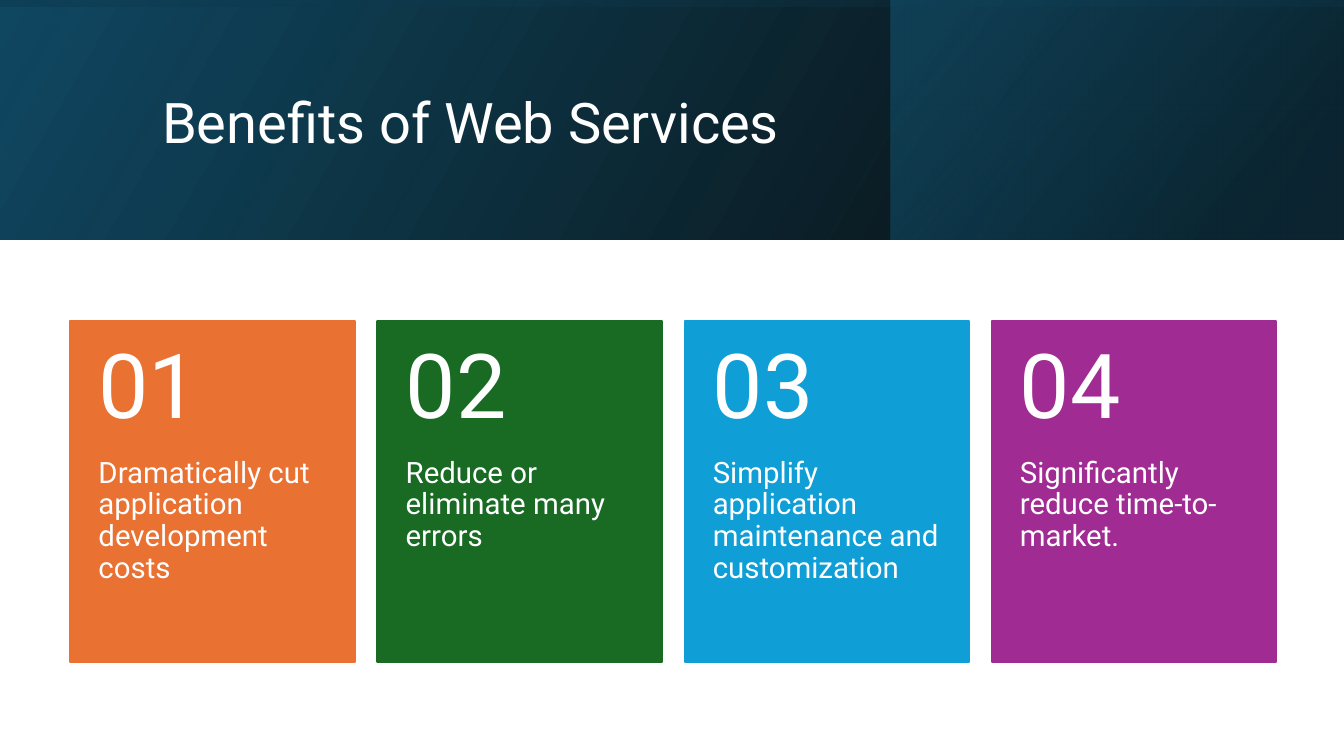
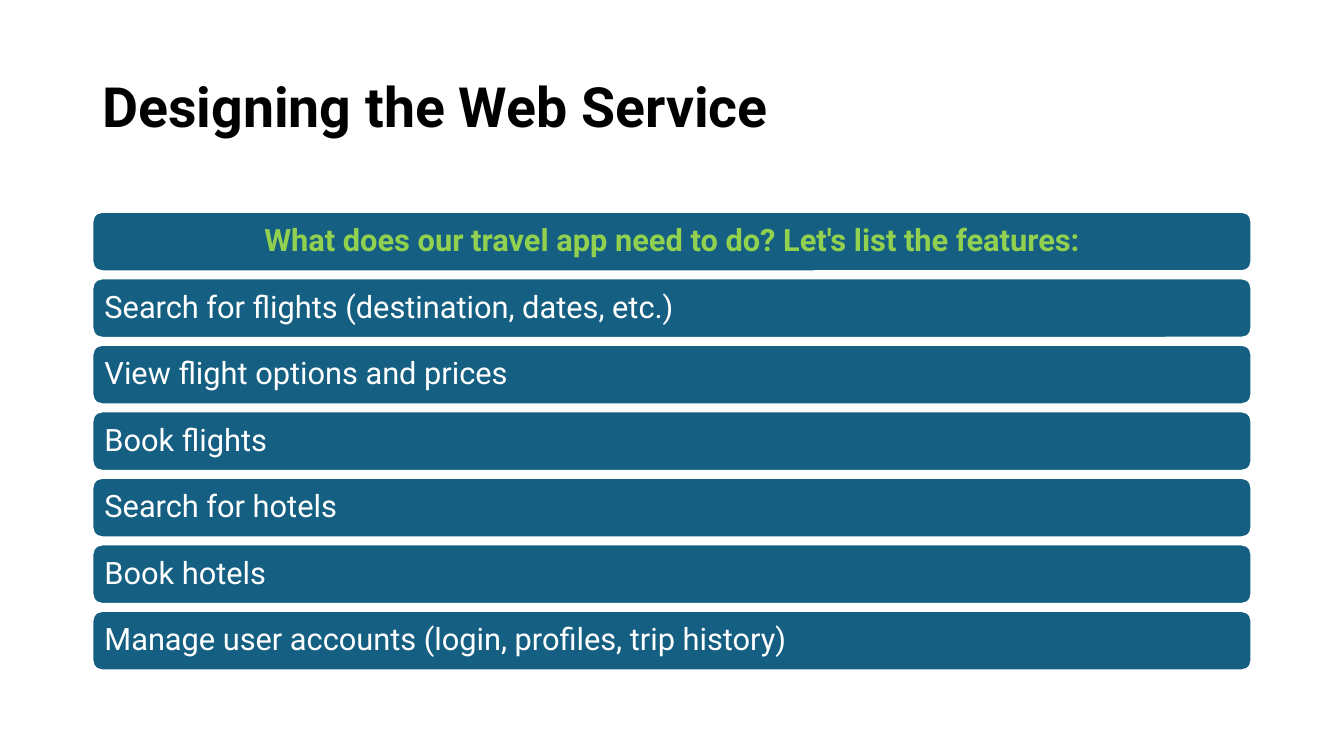
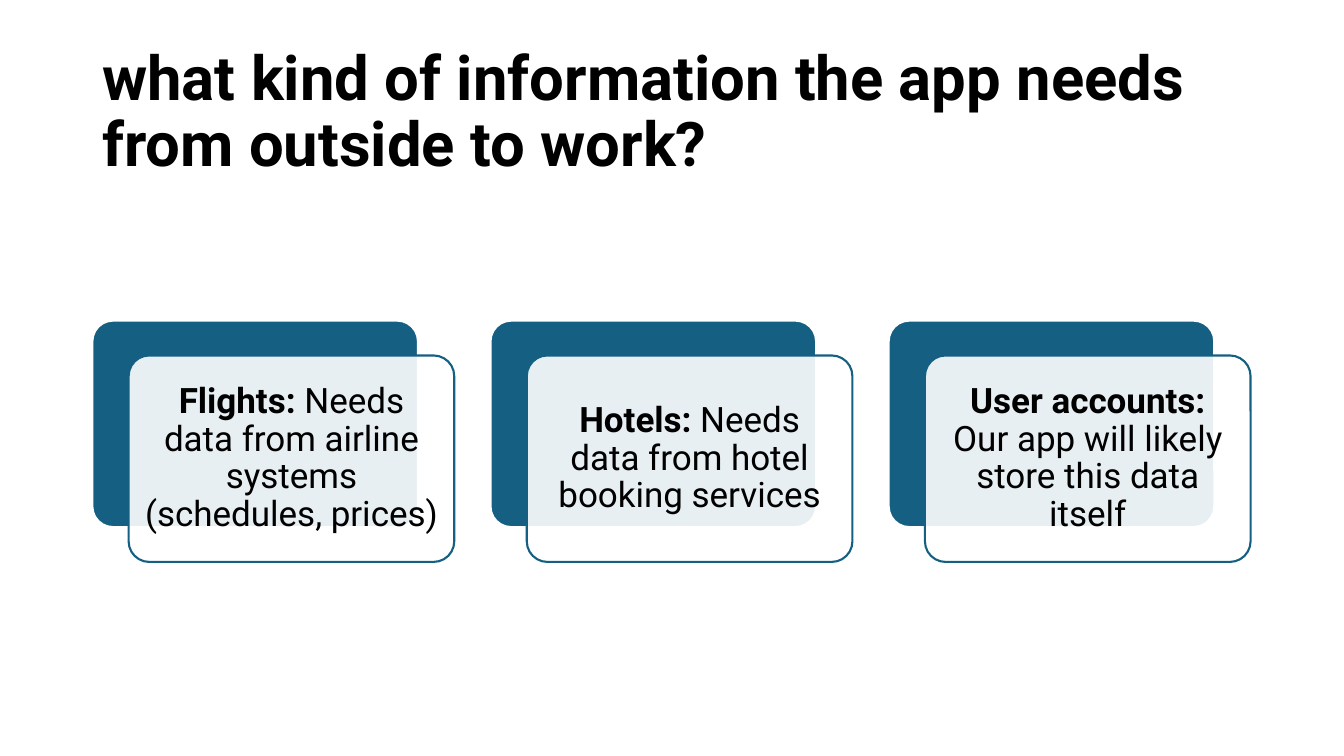
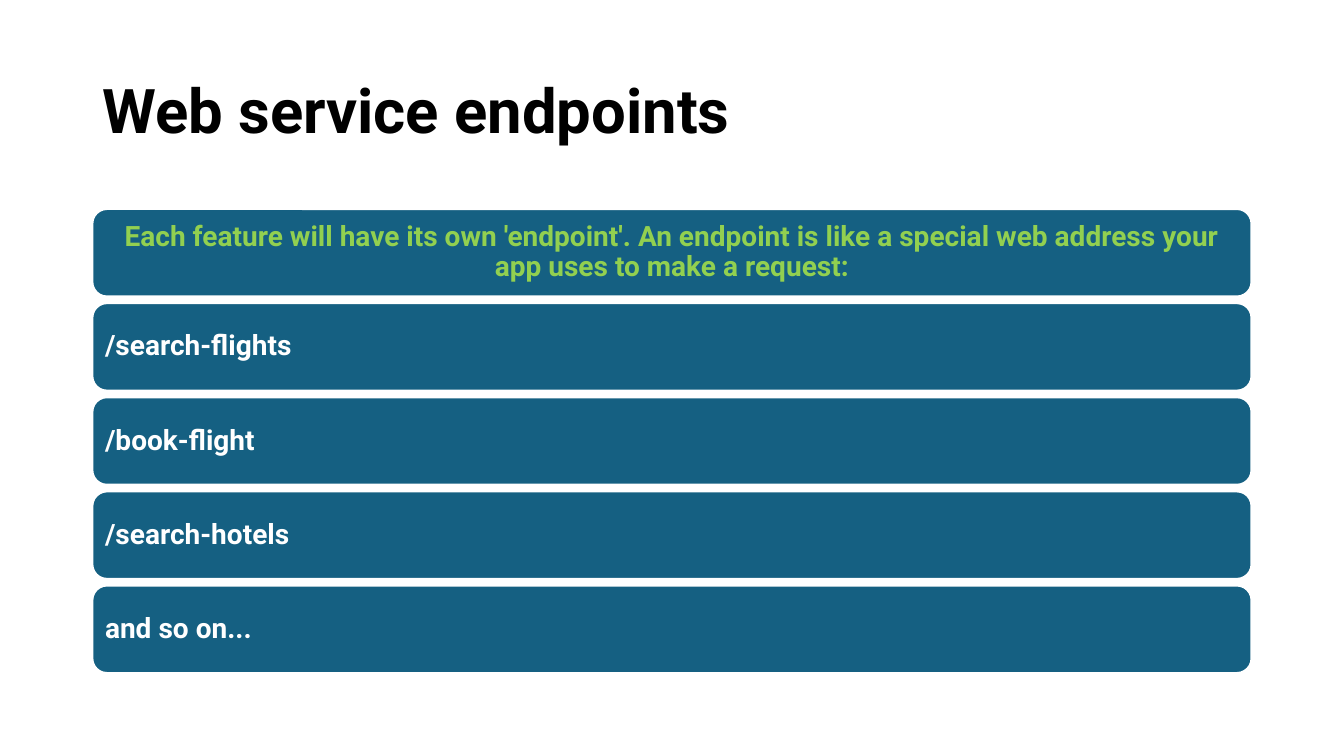
from dataclasses import dataclass

from lxml import etree
from pptx import Presentation
from pptx.dml.color import RGBColor
from pptx.enum import shapes, text
from pptx.oxml.ns import qn
from pptx.util import Pt

SHAPE = shapes.MSO_SHAPE
ALIGN = text.PP_ALIGN
ANCHOR = text.MSO_ANCHOR


@dataclass(frozen=True)
class Theme:
    font: str = "Roboto"
    white: str = "FFFFFF"
    black: str = "000000"
    teal: str = "156082"
    deep_teal: str = "104862"
    night: str = "0B3041"
    lime: str = "92D050"
    accents: tuple = ("E97132", "196B24", "0F9ED5", "A02B93")
    title: float = 44
    small_title: float = 39.6
    banner_title: float = 40
    number: float = 64
    card: float = 21
    feature: float = 22
    endpoint: float = 20
    source: float = 25
    outline: float = 1.5
    line_spacing: float = 0.9


THEME = Theme()
WIDTH, HEIGHT = 960, 540
TITLE_BOX = (66, 28.8, 828, 104.4)


@dataclass(frozen=True)
class Box:
    left: float
    top: float
    width: float
    height: float

    def lengths(self):
        return [Pt(n) for n in (self.left, self.top, self.width, self.height)]


def write(frame, *runs, size, color=THEME.white, bold=False,
          align=ALIGN.LEFT, anchor=ANCHOR.MIDDLE, insets=(7.2, 3.6, 7.2, 3.6)):
    """Write one paragraph; a run is a string or a (string, bold) pair."""
    frame.word_wrap = True
    frame.vertical_anchor = anchor
    (frame.margin_left, frame.margin_top,
     frame.margin_right, frame.margin_bottom) = [Pt(n) for n in insets]
    paragraph = frame.paragraphs[0]
    paragraph.alignment = align
    paragraph.line_spacing = THEME.line_spacing
    for entry in runs:
        words, heavy = (entry, bold) if isinstance(entry, str) else entry
        run = paragraph.add_run()
        run.text = words
        run.font.name = THEME.font
        run.font.size = Pt(size)
        run.font.bold = heavy
        run.font.color.rgb = RGBColor.from_string(color)


def add_text(slide, box, *runs, **form):
    write(slide.shapes.add_textbox(*box.lengths()).text_frame, *runs, **form)


def add_panel(slide, box, kind=SHAPE.RECTANGLE, fill=None, line=None, opacity=100):
    panel = slide.shapes.add_shape(kind, *box.lengths())
    panel.shadow.inherit = False
    if fill:
        panel.fill.solid()
        panel.fill.fore_color.rgb = RGBColor.from_string(fill)
        if opacity < 100:
            color = panel.fill._xPr.find(qn("a:solidFill"))[0]
            etree.SubElement(color, qn("a:alpha"), val=str(opacity * 1000))
    if line:
        panel.line.color.rgb = RGBColor.from_string(line)
        panel.line.width = Pt(THEME.outline)
    else:
        panel.line.fill.background()
    return panel


def add_gradient(slide, box, angle, stops, rotation=0):
    """Add a mirrored panel; stops are (position, colour, opacity) in percent."""
    panel = add_panel(slide, box)
    panel.rotation = rotation
    properties = panel._element.spPr
    properties.find(qn("a:xfrm")).set("flipH", "1")
    gradient = etree.Element(qn("a:gradFill"), rotWithShape="1")
    stop_list = etree.SubElement(gradient, qn("a:gsLst"))
    for position, color, opacity in stops:
        stop = etree.SubElement(stop_list, qn("a:gs"), pos=str(position * 1000))
        tint = etree.SubElement(stop, qn("a:srgbClr"), val=color)
        if opacity < 100:
            etree.SubElement(tint, qn("a:alpha"), val=str(opacity * 1000))
    etree.SubElement(gradient, qn("a:lin"), ang=str(angle * 60000), scaled="0")
    properties.find(qn("a:prstGeom")).addnext(gradient)


def add_title(slide, words, size=THEME.title, box=Box(*TITLE_BOX)):
    add_text(slide, box, words, size=size, color=THEME.black, bold=True)


def add_banner(slide, box, words):
    add_gradient(slide, box, 330, [(0, THEME.black, 96), (100, THEME.deep_teal, 100)])
    corner = Box(box.left + 636.5, box.top, box.width - 637, box.height)
    add_gradient(slide, corner, 320, [(19, THEME.night, 68), (100, THEME.teal, 48)])
    middle = box.left + box.width / 2, box.top + box.height / 2
    upright = Box(middle[0] - box.height / 2, middle[1] - box.width / 2,
                  box.height, box.width)
    add_gradient(slide, upright, 350,
                 [(23, THEME.deep_teal, 16), (99, THEME.black, 45)], rotation=270)
    add_text(slide, Box(box.left + 108.7, box.top + 27.4, 765.4, 123.8), words,
             size=THEME.banner_title)


def add_cards(slide, box, benefits, gap=16.2):
    width = (box.width - gap * (len(benefits) - 1)) / len(benefits)
    number_height = box.height * 0.4
    for index, (benefit, color) in enumerate(zip(benefits, THEME.accents)):
        left = box.left + index * (width + gap)
        add_panel(slide, Box(left, box.top, width, box.height), fill=color, line=color)
        add_text(slide, Box(left, box.top + number_height, width,
                            box.height - number_height),
                 benefit, size=THEME.card, anchor=ANCHOR.TOP,
                 insets=(20.1, 0, 20.1, 26))
        add_text(slide, Box(left, box.top, width, number_height),
                 f"{index + 1:02}", size=THEME.number, insets=(20.1, 13, 20.1, 13))


def add_bars(slide, box, heading, entries, gap, size, inset, bold=False):
    """Stack a centred heading bar and one bar for each entry."""
    rows = [heading, *entries]
    height = (box.height - gap * (len(rows) - 1)) / len(rows)
    for index, words in enumerate(rows):
        bar = add_panel(slide, Box(box.left, box.top + index * (height + gap),
                                   box.width, height),
                        SHAPE.ROUNDED_RECTANGLE, THEME.teal, THEME.white)
        look = (dict(color=THEME.lime, bold=True, align=ALIGN.CENTER)
                if index == 0 else dict(bold=bold))
        write(bar.text_frame, words, size=size, insets=[inset] * 4, **look)


def add_sources(slide, box, sources, pitch=284.4, shift=(25.9, 24.9)):
    """Set a framed note over a solid backing for each (name, need) pair."""
    width = box.width - pitch * (len(sources) - 1) - shift[0]
    height = box.height - shift[1]
    for index, (name, need) in enumerate(sources):
        left = box.left + index * pitch
        backing = add_panel(slide, Box(left, box.top, width, height),
                            SHAPE.ROUNDED_RECTANGLE, THEME.teal, THEME.white)
        note = add_panel(slide, Box(left + shift[0], box.top + shift[1], width, height),
                         SHAPE.ROUNDED_RECTANGLE, THEME.white, THEME.teal, opacity=90)
        for plate in (backing, note):
            plate.adjustments[0] = 0.1
        write(note.text_frame, (name, True), (need, False), size=THEME.source,
              color=THEME.black, align=ALIGN.CENTER, insets=[7] * 4)


def benefits_slide(slide):
    add_banner(slide, Box(0, 0, WIDTH, 170.9), "Benefits of Web Services")
    add_cards(slide, Box(50.3, 229.5, 861.3, 243.5), [
        "Dramatically cut application development costs",
        "Reduce or eliminate many errors",
        "Simplify application maintenance and customization",
        "Significantly reduce time-to-market.",
    ])


def features_slide(slide):
    left, top, width, height = TITLE_BOX
    add_title(slide, "Designing the Web Service", THEME.small_title,
              Box(left, top - 2.5, width, height))
    add_bars(slide, Box(66, 151.3, 828, 327.6),
             "What does our travel app need to do? Let's list the features:", [
                 "Search for flights (destination, dates, etc.)",
                 "View flight options and prices",
                 "Book flights",
                 "Search for hotels",
                 "Book hotels",
                 "Manage user accounts (login, profiles, trip history)",
             ], gap=5, size=THEME.feature, inset=6.6)


def sources_slide(slide):
    add_title(slide, "what kind of information the app needs from outside to work?")
    add_sources(slide, Box(66, 229, 827.3, 172.4), [
        ("Flights:", " Needs data from airline systems (schedules, prices)"),
        ("Hotels:", " Needs data from hotel booking services"),
        ("User accounts:", " Our app will likely store this data itself"),
    ])


def endpoints_slide(slide):
    add_title(slide, "Web service endpoints")
    add_bars(slide, Box(66, 149.3, 828, 331.5),
             "Each feature will have its own 'endpoint'. An endpoint is like a special "
             "web address your app uses to make a request:",
             ["/search-flights", "/book-flight", "/search-hotels", "and so on..."],
             gap=4.7, size=THEME.endpoint, inset=6, bold=True)


def main():
    deck = Presentation()
    deck.slide_width, deck.slide_height = Pt(WIDTH), Pt(HEIGHT)
    for build in (benefits_slide, features_slide, sources_slide, endpoints_slide):
        build(deck.slides.add_slide(deck.slide_layouts[6]))
    deck.save("out.pptx")


if __name__ == "__main__":
    main()
